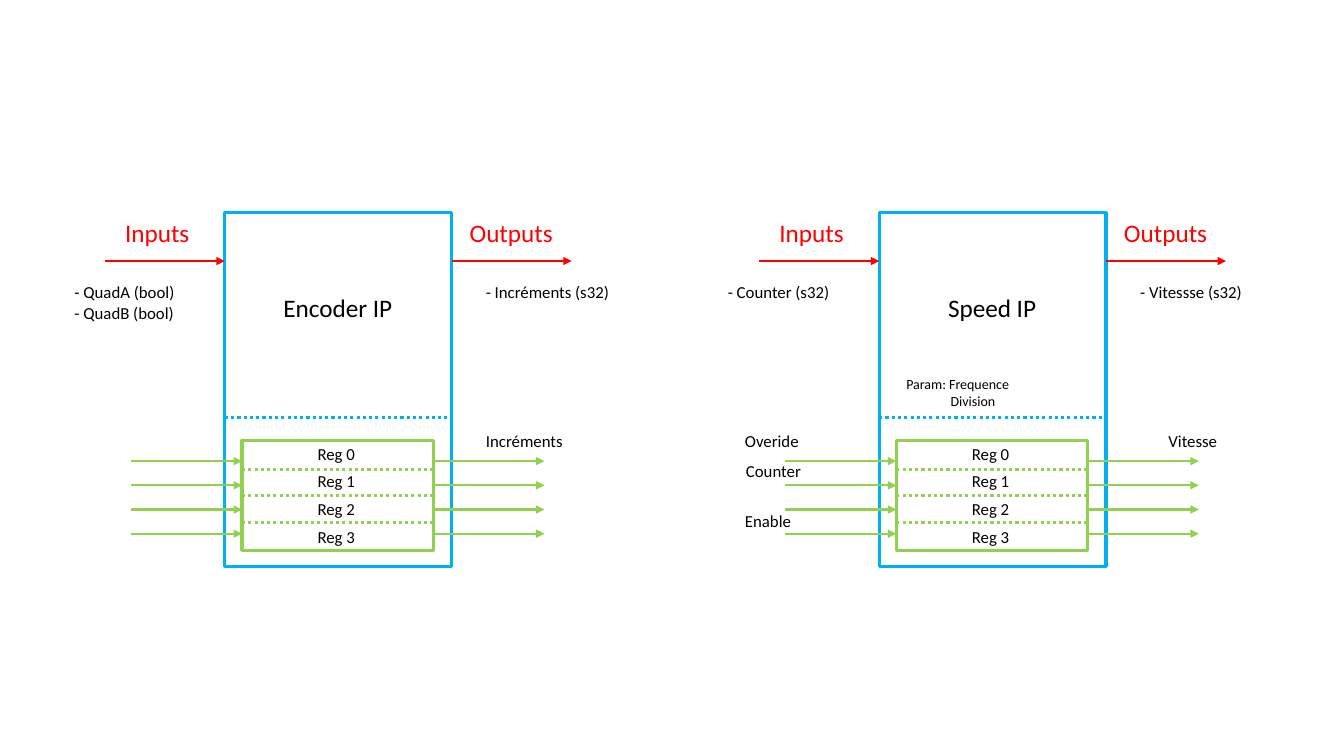
from dataclasses import dataclass
from lxml.etree import SubElement
from pptx import Presentation
from pptx.dml.color import RGBColor
from pptx.enum.dml import MSO_LINE as Dash
from pptx.enum.shapes import MSO_CONNECTOR as Conn, MSO_SHAPE as Kind
from pptx.enum.text import MSO_AUTO_SIZE as Auto, PP_ALIGN as Align
from pptx.oxml.ns import qn
from pptx.util import Inches, Pt

CELL = 0.1
BLUE, GREEN, RED, BLACK, WHITE = "00B0F0", "92D050", "FF0000", "000000", "FFFFFF"
LEFT, MID, RIGHT = Align.LEFT, Align.CENTER, Align.RIGHT


@dataclass
class Label:
    text: str
    col: float
    row: float
    wide: float
    size: int = 12
    color: str = BLACK
    align: Align = LEFT
    indent: float = 0


@dataclass
class Block:
    name: str
    col: float
    notes: list[Label]


BLOCKS = [
    Block("Encoder IP", 22.3, [
        Label("- QuadA (bool)\n- QuadB (bool)", -15.9, 27.5, 12.1),
        Label("- Incréments (s32)", 24.9, 27.5, 14.6),
        Label("Incréments", 24.9, 42.25, 9.6, align=RIGHT),
    ]),
    Block("Speed IP", 87.2, [
        Label("- Counter (s32)", -16, 27.5, 12.1),
        Label("- Vitessse (s32)", 24.9, 27.5, 12.1),
        Label("Param: Frequence\nDivision", 1.7, 36.8, 17.2, 10, indent=4.4),
        Label("Overide", -14.3, 42.2, 8.3),
        Label("Counter", -14.2, 45.2, 11.5),
        Label("Enable", -14.3, 50.2, 8.3),
        Label("Vitesse", 26.2, 42.2, 8.3, align=RIGHT),
    ]),
]

deck = Presentation()
deck.slide_width, deck.slide_height = Inches(13.33), Inches(7.5)
slide = deck.slides.add_slide(deck.slide_layouts[6])


def grid(*cells: float) -> list[int]:
    return [Inches(n * CELL) for n in cells]


def hue(code: str) -> RGBColor:
    return RGBColor.from_string(code)


def box(col: float, row: float, wide: float, high: float, color: str) -> None:
    shape = slide.shapes.add_shape(Kind.RECTANGLE, *grid(col, row, wide, high))
    shape.shadow.inherit = False
    shape.fill.solid()
    shape.fill.fore_color.rgb = hue(WHITE)
    shape.line.color.rgb = hue(color)
    shape.line.width = Pt(2.25)


def rule(col: float, row: float, wide: float, color: str, arrow: bool) -> None:
    line = slide.shapes.add_connector(Conn.STRAIGHT, *grid(col, row, col + wide, row))
    line.line.color.rgb = hue(color)
    line.line.width = Pt(1.5 if arrow else 2.25)
    if arrow:
        SubElement(line.line._get_or_add_ln(), qn("a:tailEnd"), type="triangle")
    else:
        line.line.dash_style = Dash.ROUND_DOT
    SubElement(line._element.spPr, qn("a:effectLst"))


def write(label: Label, base: float) -> None:
    lines = label.text.split("\n")
    high = 1 + len(lines) * label.size / 6
    spot = grid(base + label.col, label.row, label.wide, high)
    frame = slide.shapes.add_textbox(*spot).text_frame
    frame.word_wrap = True
    frame.auto_size = Auto.SHAPE_TO_FIT_TEXT
    frame.text = label.text
    for para in frame.paragraphs:
        para.alignment = label.align
        para.font.name = "Calibri"
        para.font.size = Pt(label.size)
        para.font.color.rgb = hue(label.color)
    if label.indent:
        para._p.get_or_add_pPr().set("marL", str(grid(label.indent)[0]))


def draw(block: Block) -> None:
    base = block.col
    box(base, 21.1, 22.5, 35.1, BLUE)
    for name, start, spot in (("Inputs", -11.9, -11.9), ("Outputs", 22.5, 23.2)):
        rule(base + start, 25.9, 11.9, RED, True)
        write(Label(name, spot, 21.1, 10.4, 18, RED, MID), base)
    box(base + 1.7, 43.7, 19, 10.9, GREEN)
    for start in (-9.3, 20.7):
        for step in range(4):
            rule(base + start, 45.75 + 2.4 * step, 11, GREEN, True)
    for step in range(3):
        rule(base + 1.7, 46.6 + 2.6 * step, 19, GREEN, False)
    for step in range(4):
        write(Label(f"Reg {step}", 5.1, 43.5 + 2.75 * step, 11.9, align=MID), base)
    rule(base, 41.4, 22.5, BLUE, False)
    write(Label(block.name, 4.1, 28.5, 14.2, 18, align=MID), base)
    for note in block.notes:
        write(note, base)


for block in BLOCKS:
    draw(block)

deck.save("out.pptx")
